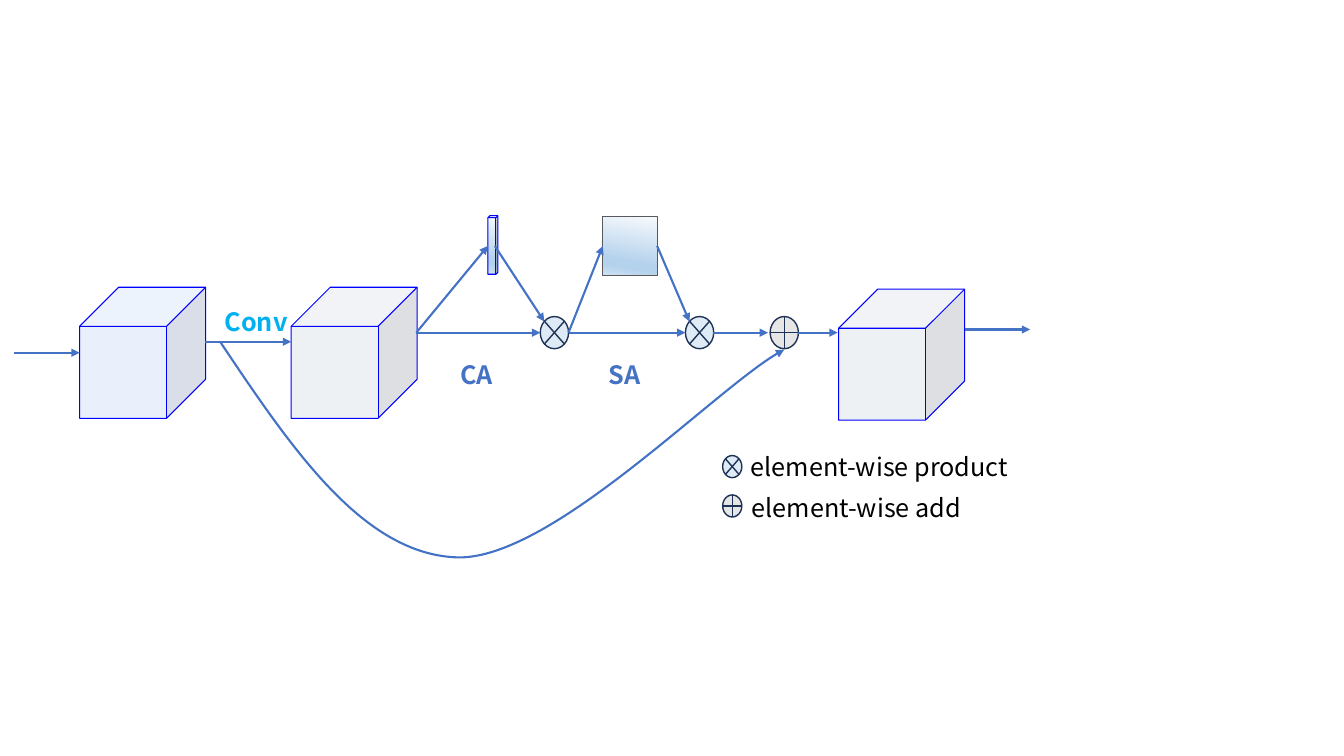
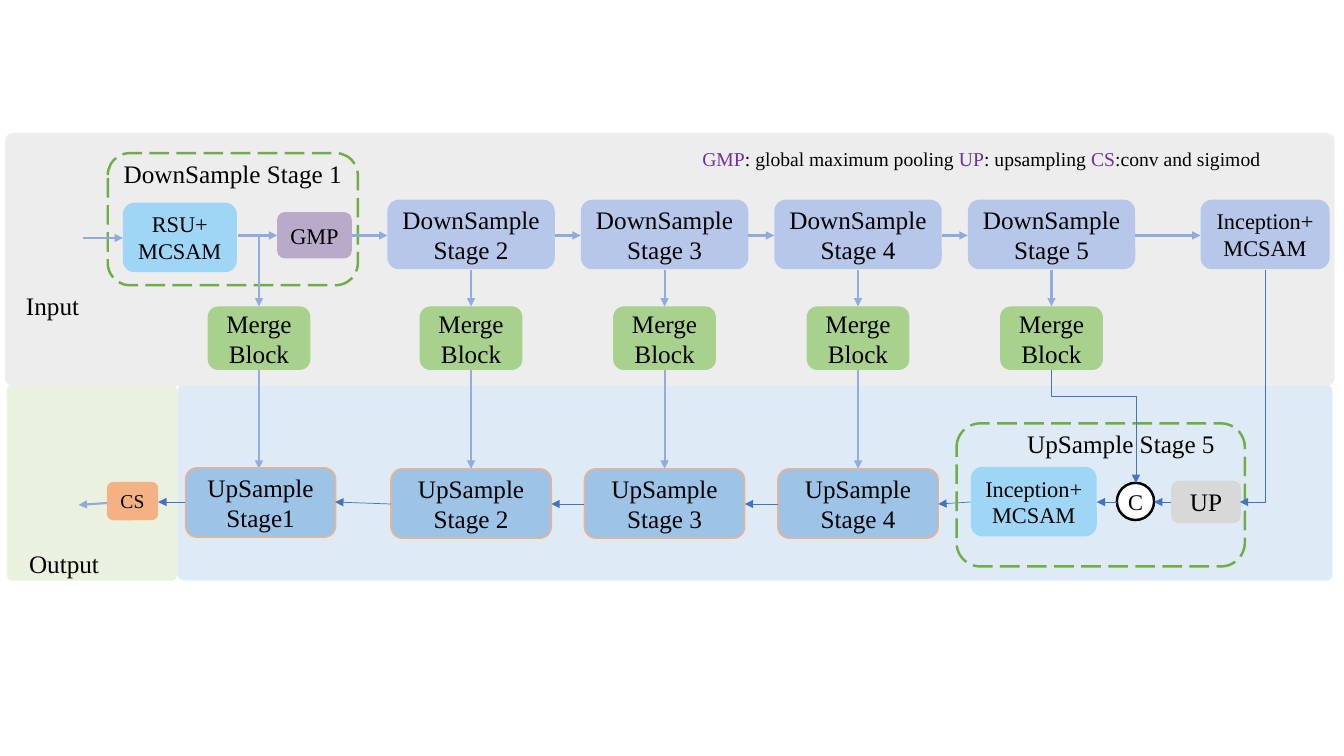
from lxml.etree import SubElement
from pptx import Presentation
from pptx.dml.color import RGBColor
from pptx.enum.dml import MSO_LINE
from pptx.enum.shapes import MSO_CONNECTOR, MSO_SHAPE
from pptx.enum.text import MSO_ANCHOR, PP_ALIGN
from pptx.oxml.ns import qn
from pptx.util import Pt

BLACK = RGBColor(0x00, 0x00, 0x00)
WHITE = RGBColor(0xFF, 0xFF, 0xFF)
BLUE = RGBColor(0x44, 0x72, 0xC4)
SOFT_BLUE = RGBColor(0x8F, 0xAA, 0xDC)
MERGE_BLUE = RGBColor(0x91, 0xAC, 0xE0)
CYAN = RGBColor(0x00, 0xB0, 0xF0)
EDGE_BLUE = RGBColor(0x00, 0x00, 0xFF)
NAVY = RGBColor(0x1E, 0x32, 0x56)
DARK_GREY = RGBColor(0x59, 0x59, 0x59)
INPUT_CUBE = RGBColor(0xC9, 0xDA, 0xF8)
FEATURE_CUBE = RGBColor(0xD6, 0xDC, 0xE5)
PALE_BLUE = RGBColor(0xDE, 0xEB, 0xF7)
PALE_GREEN = RGBColor(0xEB, 0xF1, 0xDF)
PALE_GREY = RGBColor(0xED, 0xED, 0xED)
ADD_GREY = RGBColor(0xE7, 0xE6, 0xE6)
UP_GREY = RGBColor(0xD8, 0xD8, 0xD8)
SKY = RGBColor(0xA0, 0xD6, 0xF5)
PERIWINKLE = RGBColor(0xB6, 0xC7, 0xEA)
MAUVE = RGBColor(0xB9, 0xAA, 0xCA)
PURPLE = RGBColor(0x70, 0x30, 0xA0)
MERGE_GREEN = RGBColor(0xA9, 0xD1, 0x8E)
DASH_GREEN = RGBColor(0x70, 0xAD, 0x47)
UPSAMPLE_BLUE = RGBColor(0x9D, 0xC3, 0xE6)
ORANGE = RGBColor(0xF4, 0xB1, 0x83)
ATTENTION_STOPS = [
    (0, RGBColor(0xF7, 0xFA, 0xFD)),
    (74, RGBColor(0xB5, 0xD2, 0xEC)),
    (83, RGBColor(0xB5, 0xD2, 0xEC)),
    (100, RGBColor(0xCE, 0xE1, 0xF2)),
]
SANS = "Noto Sans CJK SC"
SERIF = "Times New Roman"


class Diagram:
    def __init__(self, deck, font):
        self.slide = deck.slides.add_slide(deck.slide_layouts[6])
        self.shapes = self.slide.shapes
        self.font = font

    def set_text(self, frame, text, size, color, bold=False, align=PP_ALIGN.LEFT):
        frame.word_wrap = True
        frame.text = text
        for paragraph in frame.paragraphs:
            paragraph.alignment = align
            font = paragraph.font
            font.name, font.size, font.bold = self.font, Pt(size), bold
            font.color.rgb = color

    def label(self, text, left, top, width, height=28.8, size=18, color=BLACK,
              bold=False, align=PP_ALIGN.LEFT):
        box = self.shapes.add_textbox(Pt(left), Pt(top), Pt(width), Pt(height))
        self.set_text(box.text_frame, text, size, color, bold, align)
        return box.text_frame

    def block(self, kind, left, top, width, height, fill=None, edge=None,
              weight=0.75, text="", size=18, corner=None):
        block = self.shapes.add_shape(kind, Pt(left), Pt(top), Pt(width), Pt(height))
        block.shadow.inherit = False
        if corner is not None:
            block.adjustments[0] = corner
        if fill is None:
            block.fill.background()
        else:
            block.fill.solid()
            block.fill.fore_color.rgb = fill
        if edge is None:
            block.line.fill.background()
        else:
            block.line.color.rgb = edge
            block.line.width = Pt(weight)
        if text:
            block.text_frame.vertical_anchor = MSO_ANCHOR.MIDDLE
            self.set_text(block.text_frame, text, size, BLACK, align=PP_ALIGN.CENTER)
        return block

    def box(self, text, left, top, width, height, fill, size=18, edge=None):
        self.block(MSO_SHAPE.ROUNDED_RECTANGLE, left, top, width, height, fill,
                   edge, 1, text, size)

    def band(self, left, top, width, height, fill):
        self.block(MSO_SHAPE.ROUNDED_RECTANGLE, left, top, width, height, fill,
                   corner=0.03)

    def stage_frame(self, left, top, width, height):
        frame = self.block(MSO_SHAPE.ROUNDED_RECTANGLE, left, top, width, height,
                           edge=DASH_GREEN, weight=1.75)
        frame.line.dash_style = MSO_LINE.LONG_DASH

    def cube(self, left, top, fill):
        cube = self.block(MSO_SHAPE.CUBE, left, top, 90, 93.6, fill, EDGE_BLUE,
                          corner=0.31)
        color = cube._element.spPr.find(qn("a:solidFill"))[0]
        SubElement(color, qn("a:alpha"), val="40000")

    def attention_map(self, kind, left, top, width, height, edge, corner=None):
        block = self.block(kind, left, top, width, height, WHITE, edge, corner=corner)
        block.fill.gradient()
        block.fill.gradient_angle = 260
        stops = block._element.spPr.find(".//" + qn("a:gsLst"))
        for stop in list(stops):
            stops.remove(stop)
        for position, color in ATTENTION_STOPS:
            stop = SubElement(stops, qn("a:gs"), pos=str(position * 1000))
            SubElement(stop, qn("a:srgbClr"), val=str(color))

    def product(self, left, top, width=20.2, height=23):
        self.block(MSO_SHAPE.FLOWCHART_SUMMING_JUNCTION, left, top, width, height,
                   PALE_BLUE, NAVY, 1)

    def add(self, left, top, width=20.2, height=23):
        self.block(MSO_SHAPE.FLOWCHART_OR, left, top, width, height,
                   ADD_GREY, NAVY, 1)

    def style_arrow(self, arrow, color, weight):
        arrow.line.color.rgb = color
        arrow.line.width = Pt(weight)
        line = arrow._element.spPr.find(qn("a:ln"))
        SubElement(line, qn("a:tailEnd"), type="triangle")

    def arrow(self, start, end, color=BLUE, weight=1.5, kind=MSO_CONNECTOR.STRAIGHT):
        arrow = self.shapes.add_connector(kind, *map(Pt, (*start, *end)))
        self.style_arrow(arrow, color, weight)
        SubElement(arrow._element.spPr, qn("a:effectLst"))
        return arrow

    def elbow_down(self, start, end, bend=None):
        middle_x, middle_y = (start[0] + end[0]) / 2, (start[1] + end[1]) / 2
        half_x, half_y = (end[0] - start[0]) / 2, (end[1] - start[1]) / 2
        elbow = self.arrow((middle_x - half_y, middle_y + half_x),
                           (middle_x + half_y, middle_y - half_x),
                           BLUE, 0.5, MSO_CONNECTOR.ELBOW)
        elbow.rotation = 90
        geometry = elbow._element.spPr.find(qn("a:prstGeom"))
        if bend is None:
            geometry.set("prst", "bentConnector2")
        else:
            SubElement(geometry.find(qn("a:avLst")), qn("a:gd"), name="adj1",
                       fmla=f"val {round(bend * 100000)}")

    def curve(self, start, points):
        builder = self.shapes.build_freeform(*map(Pt, start))
        builder.add_line_segments([(Pt(x), Pt(y)) for x, y in points], close=False)
        curve = builder.convert_to_shape()
        curve.shadow.inherit = False
        curve.fill.background()
        self.style_arrow(curve, BLUE, 1.5)
        outline = curve._element.spPr.find(".//" + qn("a:pathLst"))[0]
        segments = outline.findall(qn("a:lnTo"))
        for first in range(0, len(segments), 3):
            bezier = SubElement(outline, qn("a:cubicBezTo"))
            for segment in segments[first:first + 3]:
                bezier.append(segment[0])
                outline.remove(segment)


def draw_attention_block(deck):
    diagram = Diagram(deck, SANS)
    axis, map_middle = 237.6, 175.7
    diagram.cube(56.9, 205.2, INPUT_CUBE)
    diagram.cube(208, 205.2, FEATURE_CUBE)
    diagram.cube(599, 206.6, FEATURE_CUBE)
    diagram.attention_map(MSO_SHAPE.CUBE, 348.5, 154.1, 7.2, 41.8, EDGE_BLUE, 0.2)
    diagram.attention_map(MSO_SHAPE.RECTANGLE, 430.6, 154.8, 38.9, 41.8, DARK_GREY)
    for left in (385.9, 489.6):
        diagram.product(left, 226.1)
    diagram.add(550.1, 226.1)

    for start, end in [
        ((10.1, 252), (56.9, 252)),
        ((146.2, 244.1), (208, 244.1)),
        ((297.4, axis), (348.5, map_middle)),
        ((353.5, map_middle), (388.8, 229.7)),
        ((297.4, axis), (385.9, axis)),
        ((406.1, axis), (430.6, map_middle)),
        ((469.4, map_middle), (492.5, 229.7)),
        ((406.1, axis), (489.6, axis)),
        ((509, axis), (548.6, axis)),
        ((570.2, axis), (598.3, axis)),
        ((689, 235.4), (735.8, 235.4)),
    ]:
        diagram.arrow(start, end)
    diagram.curve((157.7, 244.8), [
        (208.8, 321.1), (259.9, 396.7), (327.6, 398.2),
        (394.6, 398.9), (517, 271.4), (560.2, 249.8),
    ])

    diagram.label("Conv", 153.4, 215.3, 62, color=CYAN, bold=True)
    diagram.label("CA", 321.8, 253.4, 66.2, color=BLUE, bold=True)
    diagram.label("SA", 427.7, 253.4, 47.5, color=BLUE, bold=True)
    diagram.label("element-wise product", 529.2, 319, 218.2)
    diagram.label("element-wise add", 529.9, 347.8, 218.2)
    diagram.product(516.2, 325.4, 13.7, 15.8)
    diagram.add(516.2, 353.5, 13.7, 15.8)


def draw_network(deck):
    diagram = Diagram(deck, SERIF)
    first_column = 185
    columns = [336.5 + 138.2 * step for step in range(4)]
    encoder_y, decoder_y = 168.2, 358.6
    merge_top, merge_bottom, decoder_top = 218.9, 264.2, 334.8
    down_half, up_half, stage_height = 59.8, 57.3, 49.7

    diagram.band(126.7, 275, 825.1, 139.7, PALE_BLUE)
    diagram.band(5, 275, 121.7, 139.7, PALE_GREEN)
    diagram.band(3.6, 95, 949.7, 180.7, PALE_GREY)
    diagram.label("Input", 11.5, 203.8, 67.7)
    diagram.label("Output", 13.7, 388.1, 67.7)

    diagram.box("RSU+\nMCSAM", 87.8, 144.7, 81.4, stage_height, SKY, 16)
    diagram.stage_frame(77, 109.4, 178.6, 94.3)
    diagram.label("DownSample Stage 1", 77, 109.4, 178.6, align=PP_ALIGN.CENTER)
    diagram.box("GMP", 198, 151.5, 53.3, 33.1, MAUVE, 16)
    diagram.arrow((59, 170), (87.8, 170), SOFT_BLUE)
    diagram.arrow((169.9, encoder_y), (198, encoder_y), SOFT_BLUE)

    previous_right = 251.3
    for number, center in enumerate(columns, 2):
        left = center - down_half
        diagram.box(f"DownSample\nStage {number}", left, 142.6, 2 * down_half,
                    stage_height, PERIWINKLE)
        diagram.arrow((previous_right, encoder_y), (left, encoder_y), SOFT_BLUE)
        diagram.arrow((center, 193), (center, merge_top), MERGE_BLUE)
        previous_right = center + down_half
    diagram.box("Inception+\nMCSAM", 857.5, 142.6, 92.2, stage_height, PERIWINKLE, 16)
    diagram.arrow((previous_right, encoder_y), (857.5, encoder_y), SOFT_BLUE)
    diagram.arrow((first_column, encoder_y), (first_column, merge_top), MERGE_BLUE)

    for center in [first_column, *columns]:
        diagram.box("Merge Block", center - 36.7, merge_top, 73.4, 45.4, MERGE_GREEN)
    for center in [first_column, *columns[:-1]]:
        diagram.arrow((center, merge_bottom), (center, decoder_top), MERGE_BLUE)

    diagram.box("CS", 76.3, 344.2, 36.7, 27.4, ORANGE, 14)
    diagram.arrow((76.3, 359.3), (56.2, 360.7), SOFT_BLUE)
    diagram.box("UpSample Stage1", 132.5, 334.1, 107.3, stage_height,
                UPSAMPLE_BLUE, edge=ORANGE)
    diagram.arrow((132.5, decoder_y), (113, decoder_y), weight=0.5)
    target = (239.4, decoder_y)
    for number, center in enumerate(columns[:-1], 2):
        diagram.box(f"UpSample Stage {number}", center - up_half, decoder_top,
                    2 * up_half, stage_height, UPSAMPLE_BLUE, edge=ORANGE)
        diagram.arrow((center - up_half, 360), target, weight=0.5)
        target = (center + up_half, 360)

    diagram.box("Inception+\nMCSAM", 693.4, 333.4, 90, stage_height, SKY, 16)
    diagram.arrow((693.4, decoder_y), target, weight=0.5)
    diagram.box("UP", 836.6, 343.4, 49.7, 30.2, UP_GREY)
    concat = diagram.block(MSO_SHAPE.OVAL, 797.8, 344.9, 26.6, 26.6, WHITE, BLACK,
                           1.75, "C", 16).text_frame
    concat.margin_left = concat.margin_right = Pt(0)
    concat.margin_top = concat.margin_bottom = Pt(0)
    diagram.stage_frame(683.3, 302.4, 205.9, 102.2)
    diagram.label("UpSample Stage 5", 711.4, 302.4, 178.6, align=PP_ALIGN.CENTER)
    diagram.arrow((836.6, decoder_y), (824.4, decoder_y), weight=0.5)
    diagram.arrow((797.8, decoder_y), (783.4, decoder_y), weight=0.5)
    diagram.elbow_down((903.6, 193), (885.6, decoder_y))
    diagram.elbow_down((columns[-1], merge_bottom), (811.4, 344.9), 0.23)

    legend = diagram.label("", 494.6, 101.5, 455, 24.5, 14).paragraphs[0]
    for term, meaning in [("GMP", ": global maximum pooling "),
                          ("UP", ": upsampling "), ("CS", ":conv and sigimod")]:
        for text, color in ((term, PURPLE), (meaning, BLACK)):
            run = legend.add_run()
            run.text = text
            run.font.color.rgb = color


def main():
    deck = Presentation()
    deck.slide_width, deck.slide_height = Pt(960), Pt(540)
    draw_attention_block(deck)
    draw_network(deck)
    deck.save("out.pptx")


if __name__ == "__main__":
    main()
